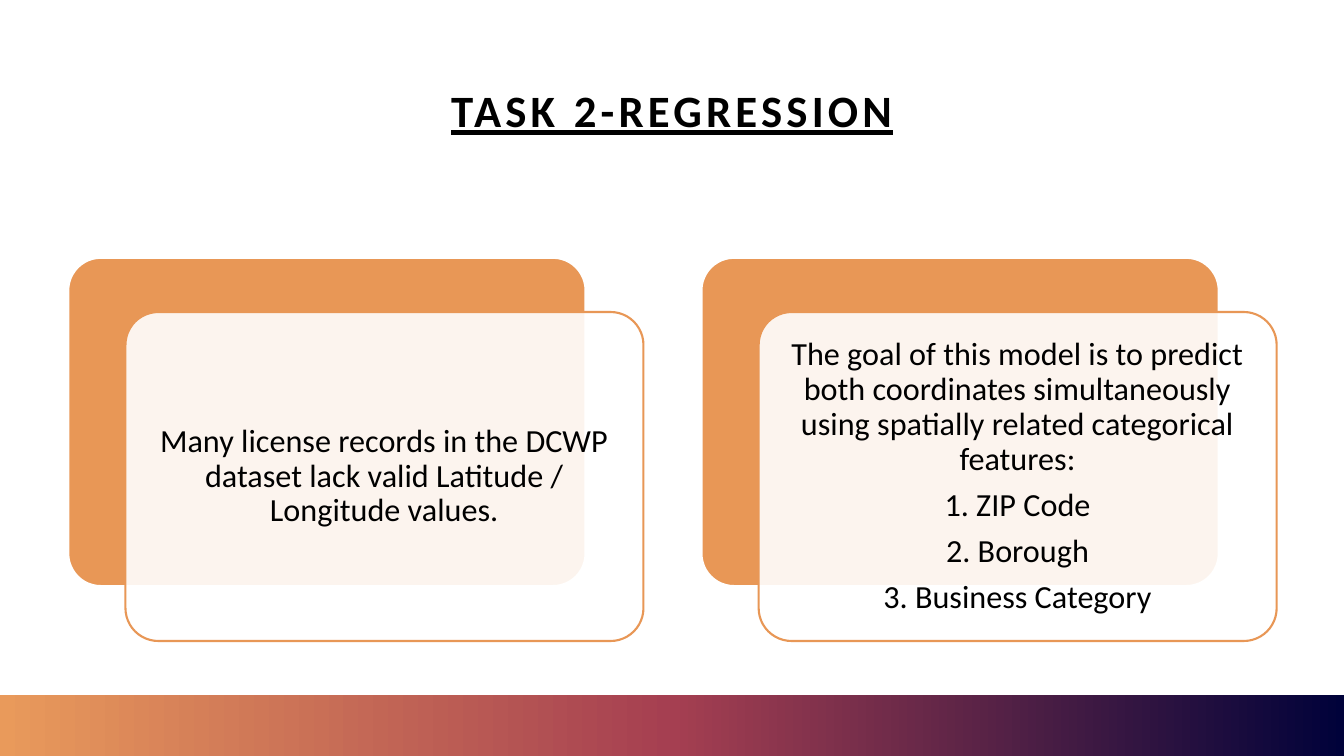
"""Build the regression task slide with two layered text cards."""
from lxml import etree
from pptx import Presentation
from pptx.dml.color import RGBColor
from pptx.enum.shapes import MSO_SHAPE
from pptx.enum.text import MSO_ANCHOR, PP_ALIGN
from pptx.oxml.ns import qn
from pptx.util import Pt

RECT, ROUNDED = MSO_SHAPE.RECTANGLE, MSO_SHAPE.ROUNDED_RECTANGLE
MIDDLE, CENTER = MSO_ANCHOR.MIDDLE, PP_ALIGN.CENTER

TITLE = "TASK 2-REGRESSION"
CARDS = [
    ["Many license records in the DCWP dataset lack valid Latitude / Longitude values."],
    [
        "The goal of this model is to predict both coordinates simultaneously "
        "using spatially related categorical features:",
        "1. ZIP Code",
        "2. Borough",
        "3. Business Category",
    ],
]
FONT, BLACK, WHITE, ORANGE = "Calibri", "000000", "FFFFFF", "E89756"
BAND_STOPS = [(0, "E99A5B"), (50, "A53F51"), (100, "00023A")]

SLIDE_W, SLIDE_H = 960, 540
BAND_H = 43.7
CARD_W, CARD_H = 370, 235
CARD_LEFT, CARD_TOP, CARD_PITCH = 48.5, 183.9, 452.3
FRONT_DX, FRONT_DY = 41.1, 39
TEXT_INSET = 6.9


def rgb(value):
    return RGBColor.from_string(value)


def add_panel(slide, kind, box, fill, line=None, line_width=0):
    panel = slide.shapes.add_shape(kind, *map(Pt, box))
    panel.shadow.inherit = False
    panel.fill.solid()
    panel.fill.fore_color.rgb = rgb(fill)
    if line:
        panel.line.color.rgb = rgb(line)
        panel.line.width = Pt(line_width)
    else:
        panel.line.fill.background()
    if kind == ROUNDED:
        panel.adjustments[0] = 0.1
    return panel


def add_text(slide, box, lines, size, inset=7.2, space_after=0):
    frame = slide.shapes.add_textbox(*map(Pt, box)).text_frame
    frame.word_wrap = True
    frame.vertical_anchor = MIDDLE
    frame.margin_left = frame.margin_right = Pt(7.2)
    frame.margin_top = frame.margin_bottom = Pt(inset)
    runs = []
    for index, line in enumerate(lines):
        paragraph = frame.add_paragraph() if index else frame.paragraphs[0]
        paragraph.alignment = CENTER
        paragraph.line_spacing = 0.9
        paragraph.space_after = Pt(space_after)
        run = paragraph.add_run()
        run.text = line
        run.font.name = FONT
        run.font.size = Pt(size)
        run.font.color.rgb = rgb(BLACK)
        runs.append(run)
    return runs


def add_title(slide):
    run, = add_text(slide, (66, 28.8, 828, 104.4), [TITLE], 32, inset=3.6)
    run.font.bold = True
    run.font.underline = True
    run.font._element.set("spc", "300")


def add_band(slide):
    band = add_panel(slide, RECT, (0, SLIDE_H - BAND_H, SLIDE_W, BAND_H), WHITE)
    band.fill.gradient()
    band.fill.gradient_angle = 0
    stops = band._element.spPr.find(qn("a:gradFill")).find(qn("a:gsLst"))
    for stop in list(stops):
        stops.remove(stop)
    for position, color in BAND_STOPS:
        stop = etree.SubElement(stops, qn("a:gs"), pos=str(position * 1000))
        etree.SubElement(stop, qn("a:srgbClr"), val=color)


def add_card(slide, left, lines):
    add_panel(slide, ROUNDED, (left, CARD_TOP, CARD_W, CARD_H), ORANGE, WHITE, 2)
    front_left, front_top = left + FRONT_DX, CARD_TOP + FRONT_DY
    front = add_panel(slide, ROUNDED, (front_left, front_top, CARD_W, CARD_H),
                      WHITE, ORANGE, 1.5)
    color = front._element.spPr.find(qn("a:solidFill")).find(qn("a:srgbClr"))
    etree.SubElement(color, qn("a:alpha"), val="90000")
    text_box = (front_left + TEXT_INSET, front_top + TEXT_INSET,
                CARD_W - 2 * TEXT_INSET, CARD_H - 2 * TEXT_INSET)
    add_text(slide, text_box, lines, 23, space_after=8)


def main():
    deck = Presentation()
    deck.slide_width, deck.slide_height = Pt(SLIDE_W), Pt(SLIDE_H)
    slide = deck.slides.add_slide(deck.slide_layouts[6])
    add_title(slide)
    add_band(slide)
    for index, lines in enumerate(CARDS):
        add_card(slide, CARD_LEFT + index * CARD_PITCH, lines)
    deck.save("out.pptx")


if __name__ == "__main__":
    main()
